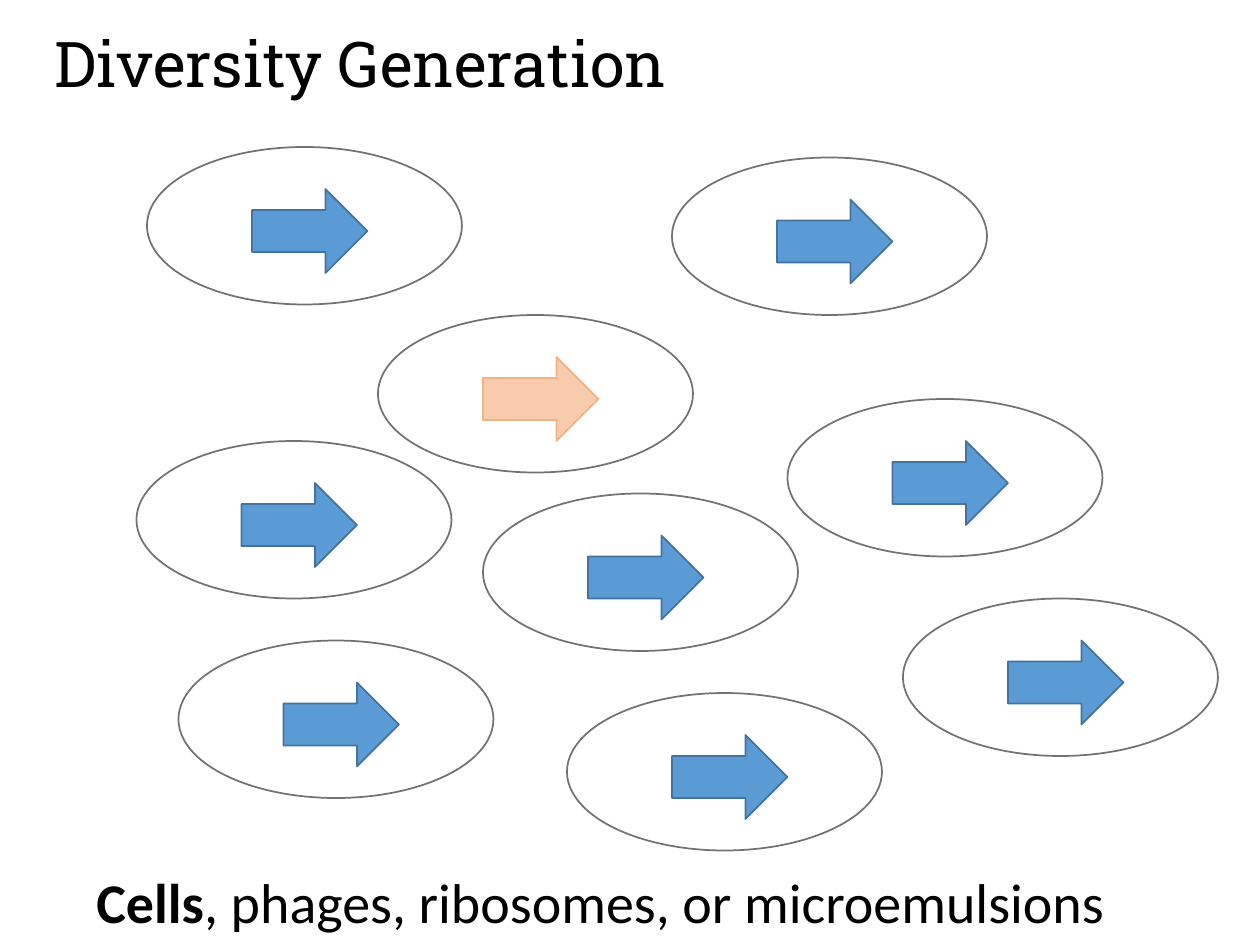
from pptx import Presentation
from pptx import util as u
from pptx.dml.color import RGBColor
from pptx.enum import shapes, text

PX = 7620  # EMU per px, at 120 px to the inch
BLACK = RGBColor(0x00, 0x00, 0x00)
GREY = RGBColor(0x76, 0x71, 0x71)
BLUE = RGBColor(0x5B, 0x9B, 0xD5)
DARK_BLUE = RGBColor(0x43, 0x73, 0x9E)
PEACH = RGBColor(0xF8, 0xCB, 0xAD)
ORANGE = RGBColor(0xF4, 0xB1, 0x83)

CELL_SIZE = (300, 150)
ARROW_SIZE = (110, 80)
ARROW_OFFSET = (100, 40)
VARIANT = (360, 300)
CELLS = [(140, 140), (640, 150), VARIANT, (750, 380), (130, 420),
         (540, 660), (170, 610), (460, 470), (860, 570)]


def add_outlined(kind, left, top, size, line, fill=None):
    shape = slide.shapes.add_shape(
        kind, left * PX, top * PX, size[0] * PX, size[1] * PX)
    shape.shadow.inherit = False
    shape.line.color.rgb = line
    shape.line.width = u.Pt(1)
    if fill is None:
        shape.fill.background()
    else:
        shape.fill.solid()
        shape.fill.fore_color.rgb = fill


def format_text(shape, box, font_name, size):
    """Place a text shape and give its first paragraph a font."""
    shape.left, shape.top, shape.width, shape.height = [n * PX for n in box]
    frame = shape.text_frame
    frame.word_wrap = True
    frame.auto_size = text.MSO_AUTO_SIZE.NONE
    frame.vertical_anchor = text.MSO_ANCHOR.TOP
    paragraph = frame.paragraphs[0]
    paragraph.alignment = text.PP_ALIGN.LEFT
    paragraph.font.name = font_name
    paragraph.font.size = u.Pt(size)
    paragraph.font.color.rgb = BLACK


presentation = Presentation()
presentation.slide_width = 1200 * PX
presentation.slide_height = 900 * PX
slide = presentation.slides.add_slide(presentation.slide_layouts[5])

title = slide.shapes.title
title.text_frame.text = "Diversity Generation"
format_text(title, (40, 17, 1130, 85), "Roboto Slab", 36)

for left, top in CELLS:
    add_outlined(shapes.MSO_SHAPE.OVAL, left, top, CELL_SIZE, GREY)
    line, fill = (ORANGE, PEACH) if (left, top) == VARIANT else (DARK_BLUE, BLUE)
    add_outlined(shapes.MSO_SHAPE.RIGHT_ARROW, left + ARROW_OFFSET[0],
                 top + ARROW_OFFSET[1], ARROW_SIZE, line, fill)

caption = slide.shapes.add_textbox(0, 0, 0, 0)
paragraph = caption.text_frame.paragraphs[0]
for words, bold in [("Cells", True),
                    (", phages, ribosomes, or microemulsions", False)]:
    run = paragraph.add_run()
    run.text = words
    run.font.bold = bold
format_text(caption, (80, 820, 1150, 77), "Calibri", 32)

presentation.save("out.pptx")
